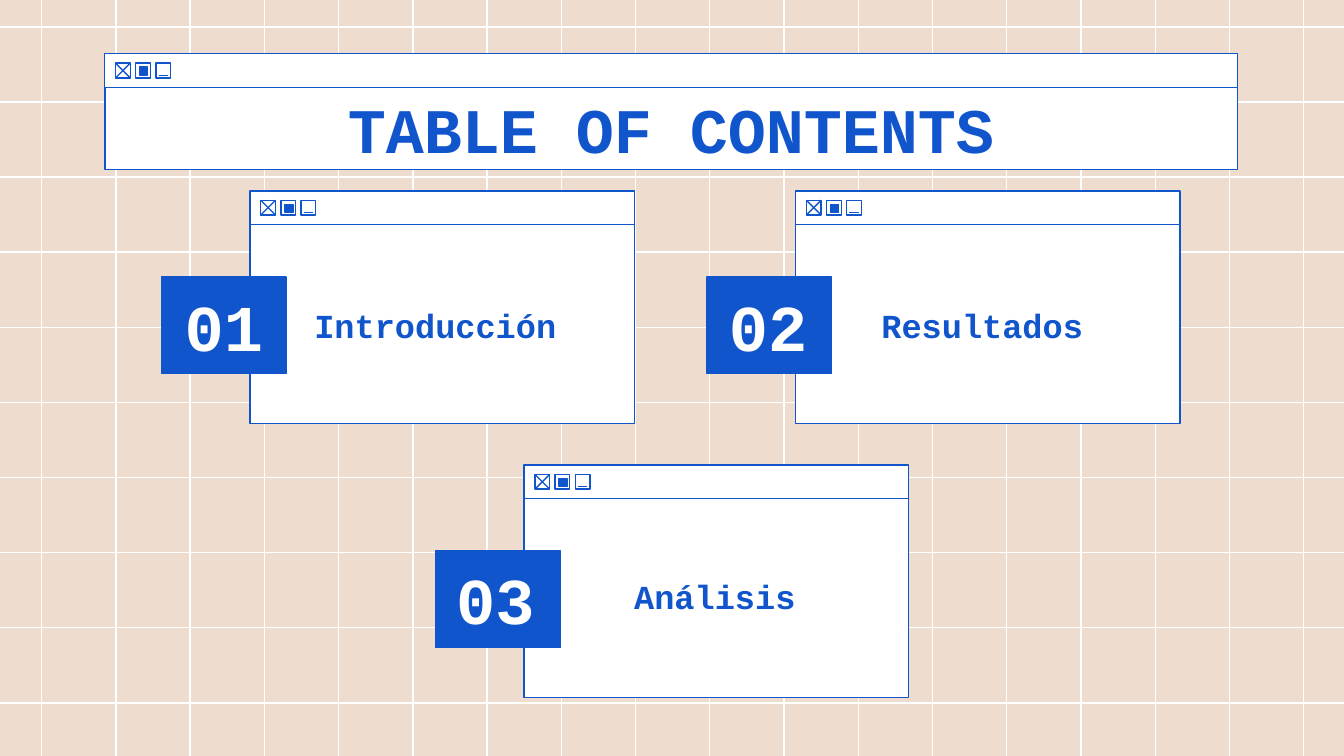
from lxml.etree import SubElement
from pptx import Presentation
from pptx.dml.color import RGBColor
from pptx.enum.shapes import MSO_CONNECTOR, MSO_SHAPE
from pptx.enum.text import MSO_ANCHOR, MSO_AUTO_SIZE, PP_ALIGN
from pptx.oxml.ns import qn
from pptx.util import Inches, Pt

BLUE, WHITE, SAND = "1155CC", "FFFFFF", "EEDCCE"
SLIDE_WIDTH = 10
SLIDE_HEIGHT = SLIDE_WIDTH * 9 / 16
CARD_WIDTH, CARD_BODY, BAR_HEIGHT = 2.86, 1.48, 0.25
BUTTON, BUTTON_STEP = 0.11, 0.15

FRAME = {
    "word_wrap": True,
    "auto_size": MSO_AUTO_SIZE.NONE,
    "vertical_anchor": MSO_ANCHOR.MIDDLE,
    "margin_left": Inches(0.1),
    "margin_right": Inches(0.1),
    "margin_top": Inches(0.1),
    "margin_bottom": Inches(0.1),
}
FONT = {"name": "Courier New", "bold": True}
HEADING = {"alignment": PP_ALIGN.CENTER, "line_spacing": 1.0}
LABEL = {"alignment": PP_ALIGN.LEFT, "line_spacing": 0.9}

# number, topic, card (left, top), number (left, top), topic (left, top, width)
SECTIONS = [
    ("01", "Introducción", (1.86, 1.42), (1.22, 2.18), (2.24, 2.08, 2.09)),
    ("02", "Resultados", (5.92, 1.42), (5.27, 2.18), (6.46, 2.08, 1.77)),
    ("03", "Análisis", (3.9, 3.46), (3.24, 4.21), (4.62, 4.1, 1.49)),
]


def paint(fill, color):
    """Apply a solid hex colour to a fill."""
    fill.solid()
    fill.fore_color.rgb = RGBColor.from_string(color)


def apply_format(target, values):
    """Set each attribute named in a dict of format values."""
    for name, value in values.items():
        setattr(target, name, value)


def outline(line, color):
    """Draw a thin line in the given colour."""
    paint(line.fill, color)
    line.width = Pt(0.75)


def add_box(slide, left, top, width, height, color=None):
    """Add a blue-edged rectangle, filled when a colour is given."""
    box = slide.shapes.add_shape(
        MSO_SHAPE.RECTANGLE, Inches(left), Inches(top), Inches(width), Inches(height))
    box.shadow.inherit = False
    if color:
        paint(box.fill, color)
    else:
        box.fill.background()
    outline(box.line, BLUE)


def add_line(slide, x1, y1, x2, y2, color):
    """Add a straight line without a shadow."""
    line = slide.shapes.add_connector(
        MSO_CONNECTOR.STRAIGHT, Inches(x1), Inches(y1), Inches(x2), Inches(y2))
    outline(line.line, color)
    SubElement(line._element.spPr, qn("a:effectLst"))


def write(frame, text, size, color, paragraph_format):
    """Write one formatted paragraph into a text frame."""
    apply_format(frame, FRAME)
    paragraph = frame.paragraphs[0]
    apply_format(paragraph, paragraph_format)
    run = paragraph.add_run()
    run.text = text
    apply_format(run.font, {**FONT, "size": Pt(size)})
    paint(run.font.fill, color)


def add_text(slide, left, top, width, height, *content):
    """Add a text box with one formatted paragraph."""
    box = slide.shapes.add_textbox(
        Inches(left), Inches(top), Inches(width), Inches(height))
    write(box.text_frame, *content)


def add_grid(slide):
    """Cover the background with evenly spaced white lines."""
    for column in range(18):
        x = 0.31 + column * 9.39 / 17
        add_line(slide, x, -0.01, x, 5.63, WHITE)
    for row in range(10):
        y = 0.2 + row * 5.03 / 9
        add_line(slide, SLIDE_WIDTH, y, 0, y, WHITE)


def add_window_bar(slide, left, top, width):
    """Add a window bar with close, maximise and minimise buttons."""
    add_box(slide, left, top, width, BAR_HEIGHT, WHITE)
    close, y = left + 0.08, top + 0.07
    maximise, minimise = close + BUTTON_STEP, close + 2 * BUTTON_STEP
    for button in (close, maximise, minimise):
        add_box(slide, button, y, BUTTON, BUTTON)
    add_line(slide, close, y, close + BUTTON, y + BUTTON, BLUE)
    add_line(slide, close + BUTTON, y, close, y + BUTTON, BLUE)
    add_box(slide, maximise + 0.03, y + 0.03, 0.06, 0.06, BLUE)
    add_line(slide, minimise + 0.02, y + 0.09, minimise + 0.09, y + 0.09, BLUE)


def add_title(slide, text):
    """Format the title placeholder as a window in front of the grid."""
    title = slide.shapes.title
    slide.shapes._spTree.append(title._element)
    apply_format(title, {"left": Inches(0.78), "top": Inches(0.65),
                         "width": Inches(8.43), "height": Inches(0.61)})
    paint(title.fill, WHITE)
    outline(title.line, BLUE)
    write(title.text_frame, text, 34, BLUE, HEADING)
    add_window_bar(slide, 0.78, 0.4, 8.43)


def add_section(slide, number, topic, card_at, number_at, topic_at):
    """Add a window card with its numbered badge and topic."""
    left, top = card_at
    add_box(slide, left, top + BAR_HEIGHT, CARD_WIDTH, CARD_BODY, WHITE)
    add_window_bar(slide, left, top, CARD_WIDTH)
    add_box(slide, left - 0.66, top + 0.64, 0.93, 0.72, BLUE)
    add_text(slide, *topic_at, 0.71, topic, 18, BLUE, LABEL)
    add_text(slide, *number_at, 0.89, 0.48, number, 35, WHITE, HEADING)


def main():
    """Build and save the table of contents slide."""
    deck = Presentation()
    apply_format(deck, {"slide_width": Inches(SLIDE_WIDTH),
                        "slide_height": Inches(SLIDE_HEIGHT)})
    slide = deck.slides.add_slide(deck.slide_layouts[5])
    paint(slide.background.fill, SAND)
    add_grid(slide)
    add_title(slide, "TABLE OF CONTENTS")
    for section in SECTIONS:
        add_section(slide, *section)
    deck.save("out.pptx")


if __name__ == "__main__":
    main()
